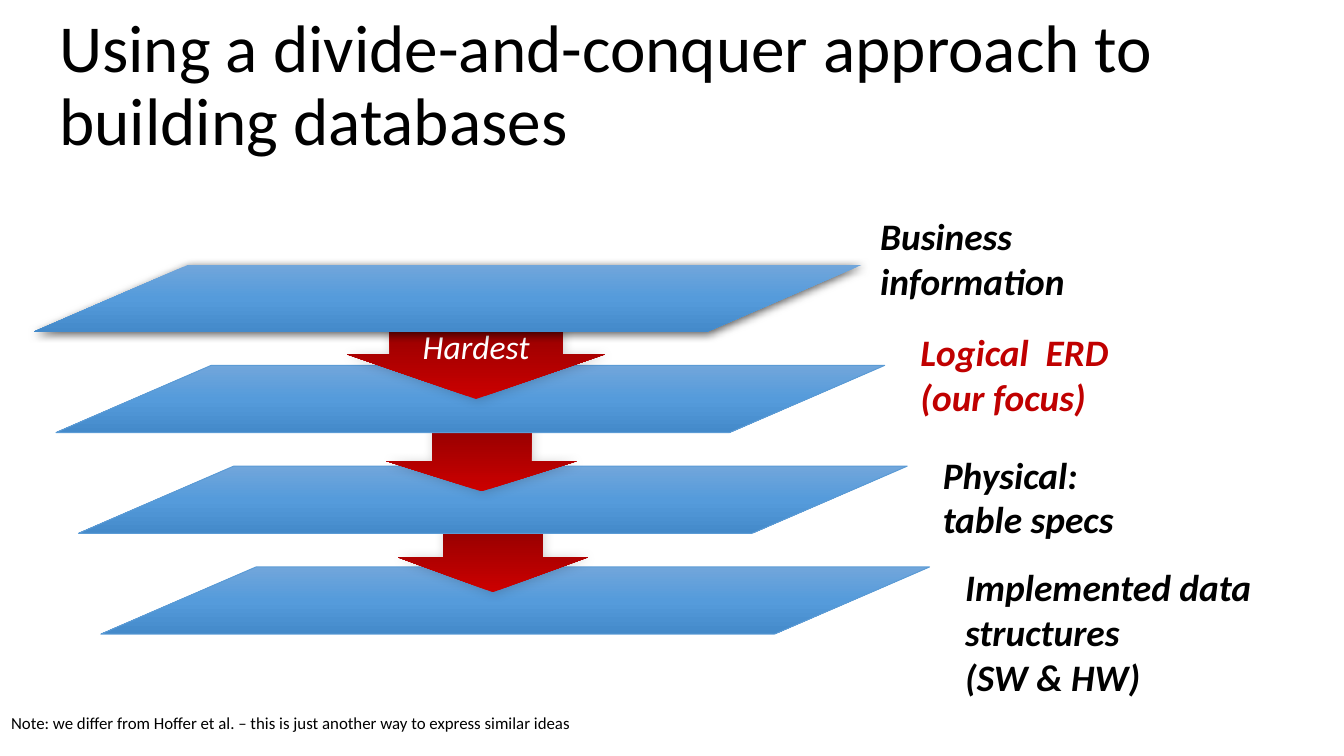
import lxml.etree
import pptx
import pptx.dml.color
import pptx.enum.shapes
import pptx.enum.text
import pptx.oxml.ns
import pptx.util

SHAPE = pptx.enum.shapes.MSO_SHAPE
ALIGN = pptx.enum.text.PP_ALIGN
ANCHOR = pptx.enum.text.MSO_ANCHOR
qn = pptx.oxml.ns.qn


def rgb(hex_string):
    return pptx.dml.color.RGBColor.from_string(hex_string)


def write(tf, text, size=20, color="000000", bold=False, italic=False,
          align=ALIGN.LEFT, anchor=ANCHOR.TOP, spacing=None, insets=None, wrap=True):
    tf.text = text
    tf.word_wrap = wrap
    tf.vertical_anchor = anchor
    if insets:
        tf.margin_left, tf.margin_top, tf.margin_right, tf.margin_bottom = map(
            pptx.util.Inches, insets)
    for p in tf.paragraphs:
        p.alignment = align
        p.line_spacing = spacing
        for r in p.runs:
            r.font.name = "Calibri"
            r.font.size = pptx.util.Pt(size)
            r.font.bold = bold
            r.font.italic = italic
            r.font.color.rgb = rgb(color)


def add_xml(parent, tag, **attributes):
    return lxml.etree.SubElement(parent, qn(tag), attributes)


class Deck:
    COLUMNS, ROWS = 60, 45
    LAYER_FILL = ("71A6DB", "559BDB", "448ACA")
    LAYER_LINE = "5B9BD5"
    ARROW_FILL = ("CC0000", "920000")

    def __init__(self):
        self.prs = pptx.Presentation()
        self.prs.slide_width = pptx.util.Inches(10)
        self.prs.slide_height = self.prs.slide_width * 9 // 16
        self.s = self.prs.slides.add_slide(self.prs.slide_layouts[5])

    def box(self, x, y, w, h):
        column = self.prs.slide_width / self.COLUMNS
        row = self.prs.slide_height / self.ROWS
        return int(x * column), int(y * row), int(w * column), int(h * row)

    def title(self, text, *place):
        sp = self.s.shapes.title
        sp.left, sp.top, sp.width, sp.height = self.box(*place)
        write(sp.text_frame, text, size=36, anchor=ANCHOR.MIDDLE, spacing=0.9,
              insets=(0.1, 0.1, 0.1, 0.05))

    def text(self, text, *place, **style):
        sp = self.s.shapes.add_textbox(*self.box(*place))
        write(sp.text_frame, text, **style)

    def shape(self, kind, place, adjustments, colors, shadow=None, line=None):
        sp = self.s.shapes.add_shape(kind, *self.box(*place))
        for i, value in enumerate(adjustments):
            sp.adjustments[i] = value
        self.gradient(sp, colors)
        if line:
            sp.line.color.rgb = rgb(line)
            sp.line.width = pptx.util.Pt(0.5)
        else:
            sp.line.fill.background()
        sp.shadow.inherit = False
        if shadow:
            self.shadow(sp, *shadow)
        return sp

    def gradient(self, sp, colors):
        sp.fill.gradient()
        sp.fill.gradient_angle = 270
        stops = sp._element.spPr.find(".//" + qn("a:gsLst"))
        stops.clear()
        for i, color in enumerate(colors):
            stop = add_xml(stops, "a:gs", pos=str(100000 * i // (len(colors) - 1)))
            add_xml(stop, "a:srgbClr", val=color)

    def shadow(self, sp, opacity, blur, distance, angle):
        effects = sp._element.spPr.find(qn("a:effectLst"))
        outer = add_xml(effects, "a:outerShdw", blurRad=str(pptx.util.Pt(blur)),
                        dist=str(pptx.util.Pt(distance)), dir=str(angle * 60000),
                        rotWithShape="0")
        color = add_xml(outer, "a:srgbClr", val="000000")
        add_xml(color, "a:alpha", val=str(opacity * 1000))

    def layer(self, x, y, top):
        self.shape(SHAPE.PARALLELOGRAM, (x, y, 37, 4), [2.31], self.LAYER_FILL,
                   shadow=(63, 4.5, 1.5, 90) if top else None,
                   line=None if top else self.LAYER_LINE)

    def arrow(self, x, y, w, h, adjustments, text):
        sp = self.shape(SHAPE.UP_ARROW, (x, y, w, h), adjustments, self.ARROW_FILL,
                        shadow=(20, 6, 1, 45))
        sp.rotation = 180
        if text:
            write(sp.text_frame, text, size=18, color="FFFFFF", italic=True,
                  align=ALIGN.CENTER, anchor=ANCHOR.MIDDLE, wrap=False)
            sp.text_frame._txBody.bodyPr.set("rot", "10800000")


def main():
    deck = Deck()
    deck.title("Using a divide-and-conquer approach to building databases",
               2.04, 0.5, 57.5, 9)
    deck.text("Note: we differ from Hoffer et al. – this is just another way "
              "to express similar ideas", 0.5, 42.3, 57.5, 2.16, size=9,
              anchor=ANCHOR.BOTTOM, spacing=0.9, insets=(0, 0, 0, 0.1))

    arrows = [
        (15.5, 11.5, 4.5, (0.67, 0.59), "Hardest"),
        (17.25, 8.5, 4, (0.52, 0.45), ""),
        (17.75, 8.5, 4, (0.52, 0.52), ""),
    ]
    for i in reversed(range(4)):
        y = 15.75 + 6 * i
        if i < len(arrows):
            x, w, h, adjustments, text = arrows[i]
            deck.arrow(x, y + 3.5, w, h, adjustments, text)
        deck.layer(1.5 + i, y, top=i == 0)

    labels = [
        ("Business\ninformation", 38.7, 12.3, 12.3, 6.2, "000000"),
        ("Logical  ERD\v(our focus)", 40.5, 19.2, 12.9, 6.2, "C00000"),
        ("Physical:\vtable specs", 41.5, 26.5, 15.75, 6.2, "000000"),
        ("Implemented data structures\v(SW & HW)", 42.5, 33.2, 16.5, 8.9, "000000"),
    ]
    for text, x, y, w, h, color in labels:
        deck.text(text, x, y, w, h, color=color, bold=True, italic=True)

    deck.prs.save("out.pptx")


if __name__ == "__main__":
    main()
